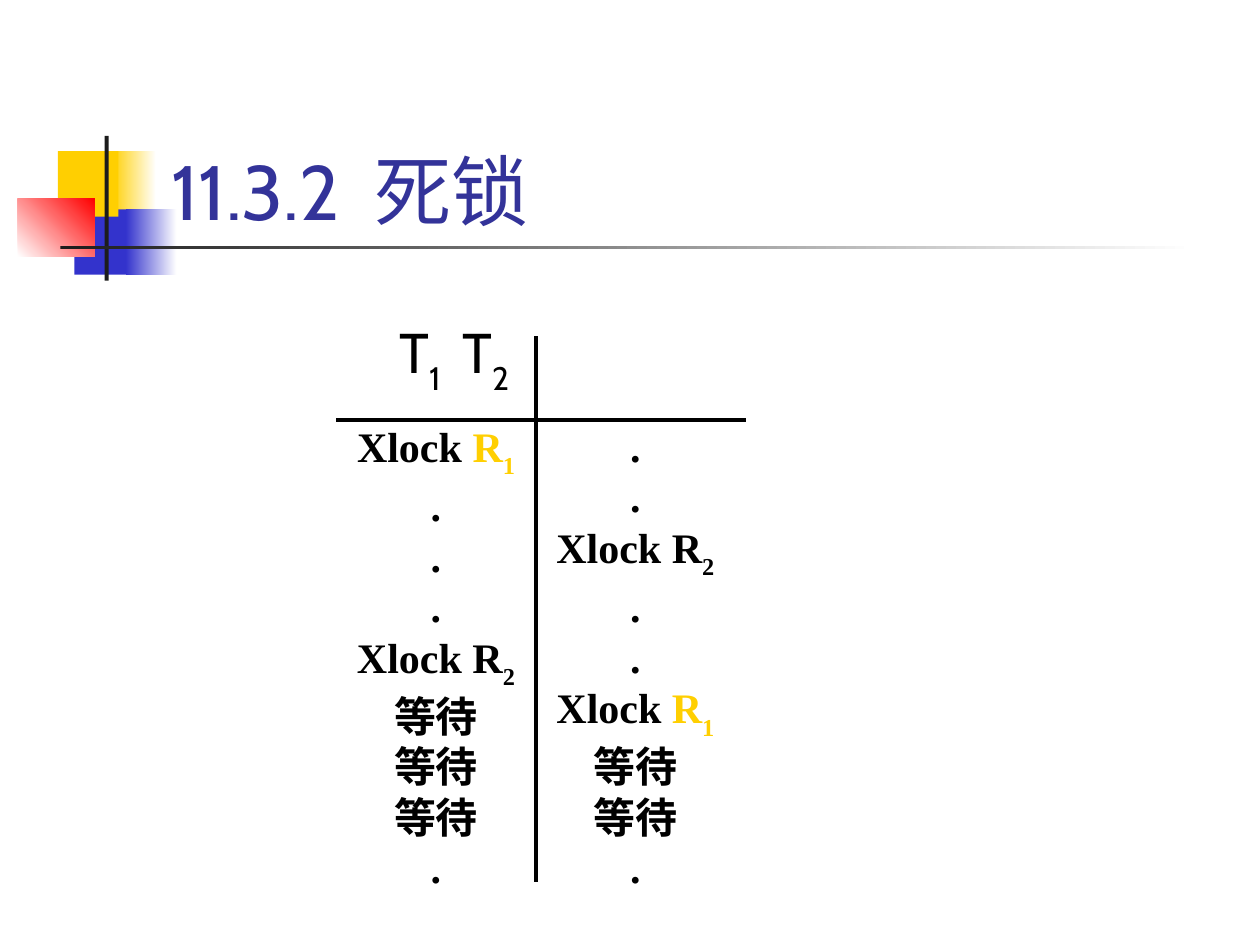
from lxml import etree
from pptx import Presentation
from pptx.dml.color import RGBColor
from pptx.enum.shapes import MSO_CONNECTOR, MSO_SHAPE
from pptx.enum.text import MSO_ANCHOR, MSO_AUTO_SIZE, PP_ALIGN
from pptx.oxml.ns import qn
from pptx.util import Cm, Pt

RECTANGLE = MSO_SHAPE.RECTANGLE
STRAIGHT = MSO_CONNECTOR.STRAIGHT
BOTTOM, MIDDLE, TOP = MSO_ANCHOR.BOTTOM, MSO_ANCHOR.MIDDLE, MSO_ANCHOR.TOP
LEFT, CENTER = PP_ALIGN.LEFT, PP_ALIGN.CENTER
NO_AUTOFIT = MSO_AUTO_SIZE.NONE

BLACK, WHITE, YELLOW = "000000", "FFFFFF", "FFCF01"
BLUE, RED, CHARCOAL, TITLE_BLUE = "3333CC", "FF0000", "1C1C1C", "333399"
HEADING_FONT, BODY_FONT = "Cabin", "Times New Roman"

# Schedule steps: lists of (text, colour, is subscript)
LOCK_R1 = [("Xlock ", BLACK, False), ("R", YELLOW, False), ("1", YELLOW, True)]
LOCK_R2 = [("Xlock R", BLACK, False), ("2", BLACK, True)]
DOT = [(".", BLACK, False)]
WAIT = [("等待", BLACK, False)]
HEADINGS = [("\tT", BLACK, False), ("1", BLACK, True),
            ("\tT", BLACK, False), ("2", BLACK, True)]
SCHEDULES = [
    [LOCK_R1, DOT, DOT, DOT, LOCK_R2, WAIT, WAIT, WAIT, DOT],
    [DOT, DOT, LOCK_R2, DOT, DOT, LOCK_R1, WAIT, WAIT, DOT],
]


def color(hex_string):
    return RGBColor.from_string(hex_string)


def place(shape, left, top, width, height):
    shape.left, shape.top = Cm(left), Cm(top)
    shape.width, shape.height = Cm(width), Cm(height)


def format_font(font, name, size, hex_string, bold=False):
    font.name, font.size, font.bold = name, Pt(size), bold
    font.color.rgb = color(hex_string)


def add_runs(paragraph, parts, name, size, bold=False):
    for text, hex_string, is_subscript in parts:
        run = paragraph.add_run()
        run.text = text
        format_font(run.font, name, size, hex_string, bold)
        if is_subscript:
            run._r.get_or_add_rPr().set("baseline", "-30000")


def add_block(slide, left, top, width, height, colors, angle=0):
    """Add a borderless rectangle, solid for one colour, gradient for two."""
    block = slide.shapes.add_shape(RECTANGLE, Cm(left), Cm(top), Cm(width), Cm(height))
    block.shadow.inherit = False
    block.line.fill.background()
    if len(colors) == 1:
        block.fill.solid()
        block.fill.fore_color.rgb = color(colors[0])
        return
    block.fill.gradient()
    block.fill.gradient_angle = angle
    for position, (stop, hex_string) in enumerate(zip(block.fill.gradient_stops, colors)):
        stop.position = position
        stop.color.rgb = color(hex_string)


def add_line(slide, x1, y1, x2, y2):
    line = slide.shapes.add_connector(STRAIGHT, Cm(x1), Cm(y1), Cm(x2), Cm(y2))
    line.line.color.rgb = color(BLACK)
    line.line.width = Pt(2.25)
    etree.SubElement(line._element.spPr, qn("a:effectLst"))


def add_ornament(slide, left, top):
    # Overlapping blocks, then the crossed bars
    blocks = [
        (1.88, 0.31, 0.91, 1.32, [YELLOW, WHITE]),
        (1.14, 1.48, 1.17, 1.32, [BLUE]),
        (0.81, 0.31, 1.22, 1.32, [YELLOW]),
        (2.18, 1.48, 1.02, 1.32, [BLUE, WHITE]),
        (0, 1.27, 1.55, 1.17, [WHITE, RED], 45),
        (1.75, 0, 0.08, 2.92, [CHARCOAL]),
        (0.86, 2.21, 22.86, 0.08, [CHARCOAL, WHITE]),
    ]
    for x, y, *rest in blocks:
        add_block(slide, left + x, top + y, *rest)


def fill_title(slide, left, top, width, height):
    title = slide.shapes.title
    place(title, left, top, width, height)
    text_frame = title.text_frame
    text_frame.text = "11.3.2  死锁"
    text_frame.auto_size = NO_AUTOFIT
    text_frame.vertical_anchor = BOTTOM
    paragraph = text_frame.paragraphs[0]
    paragraph.alignment = LEFT
    format_font(paragraph.runs[0].font, HEADING_FONT, 44, TITLE_BLUE)
    slide.shapes._spTree.append(title._element)  # in front of the ornament


def fill_headings(slide, left, top, width, height, tab_stops):
    body = slide.placeholders[1]
    place(body, left, top, width, height)
    text_frame = body.text_frame
    text_frame.auto_size = NO_AUTOFIT
    text_frame.vertical_anchor = TOP
    text_frame.margin_left = text_frame.margin_top = 0
    paragraph = text_frame.paragraphs[0]
    paragraph.space_before = Pt(0)
    properties = paragraph._p.get_or_add_pPr()
    properties.set("marL", "0")
    properties.set("indent", "0")
    etree.SubElement(properties, qn("a:buNone"))
    tab_list = etree.SubElement(properties, qn("a:tabLst"))
    for position in tab_stops:
        etree.SubElement(tab_list, qn("a:tab"), pos=str(Cm(position)), algn="l")
    add_runs(paragraph, HEADINGS, HEADING_FONT, 32)
    slide.shapes._spTree.append(body._element)


def add_schedule(slide, left, top, width, height, steps):
    box = slide.shapes.add_textbox(Cm(left), Cm(top), Cm(width), Cm(height))
    text_frame = box.text_frame
    text_frame.word_wrap = False
    text_frame.vertical_anchor = MIDDLE
    for index, step in enumerate(steps):
        paragraph = text_frame.add_paragraph() if index else text_frame.paragraphs[0]
        paragraph.alignment = CENTER
        add_runs(paragraph, step, BODY_FONT, 24, bold=True)


def add_lock_chart(slide, left, top, width, height):
    rule_y, column_width, column_top = 1.68, 4.02, 1.9
    fill_headings(slide, left, top - 0.38, width, 1.9, tab_stops=(2.47, 5.58))
    # Crossing rules
    add_line(slide, left, top + rule_y, left + width, top + rule_y)
    add_line(slide, left + column_width, top, left + column_width, top + height)
    # One column for each transaction
    for index, steps in enumerate(SCHEDULES):
        add_schedule(slide, left + index * column_width, top + column_top,
                     column_width, height - column_top, steps)


def main():
    presentation = Presentation()
    presentation.slide_width, presentation.slide_height = Cm(25.4), Cm(19.05)
    slide = presentation.slides.add_slide(presentation.slide_layouts[1])
    add_ornament(slide, 0.36, 2.74)
    fill_title(slide, 3.2, 1.7, 21.64, 3.18)
    add_lock_chart(slide, 6.78, 6.78, 8.26, 11)
    presentation.save("out.pptx")


if __name__ == "__main__":
    main()
